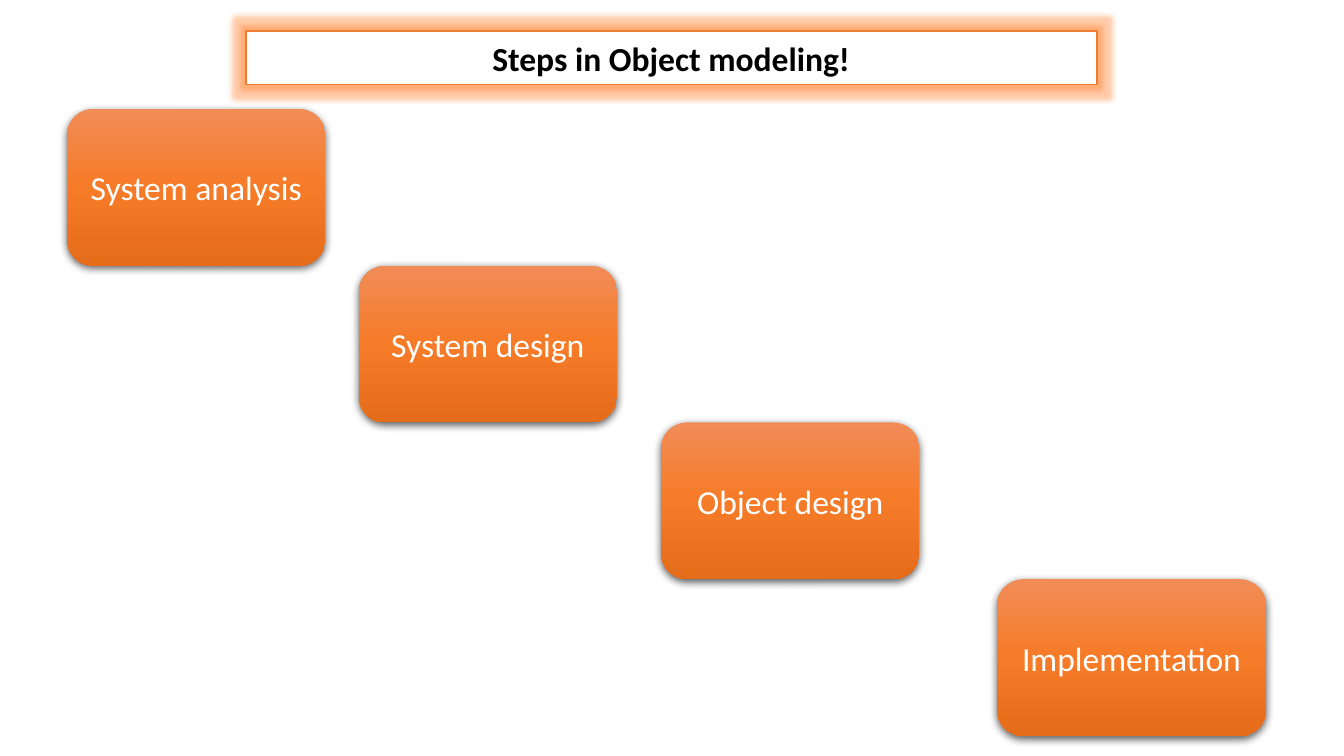
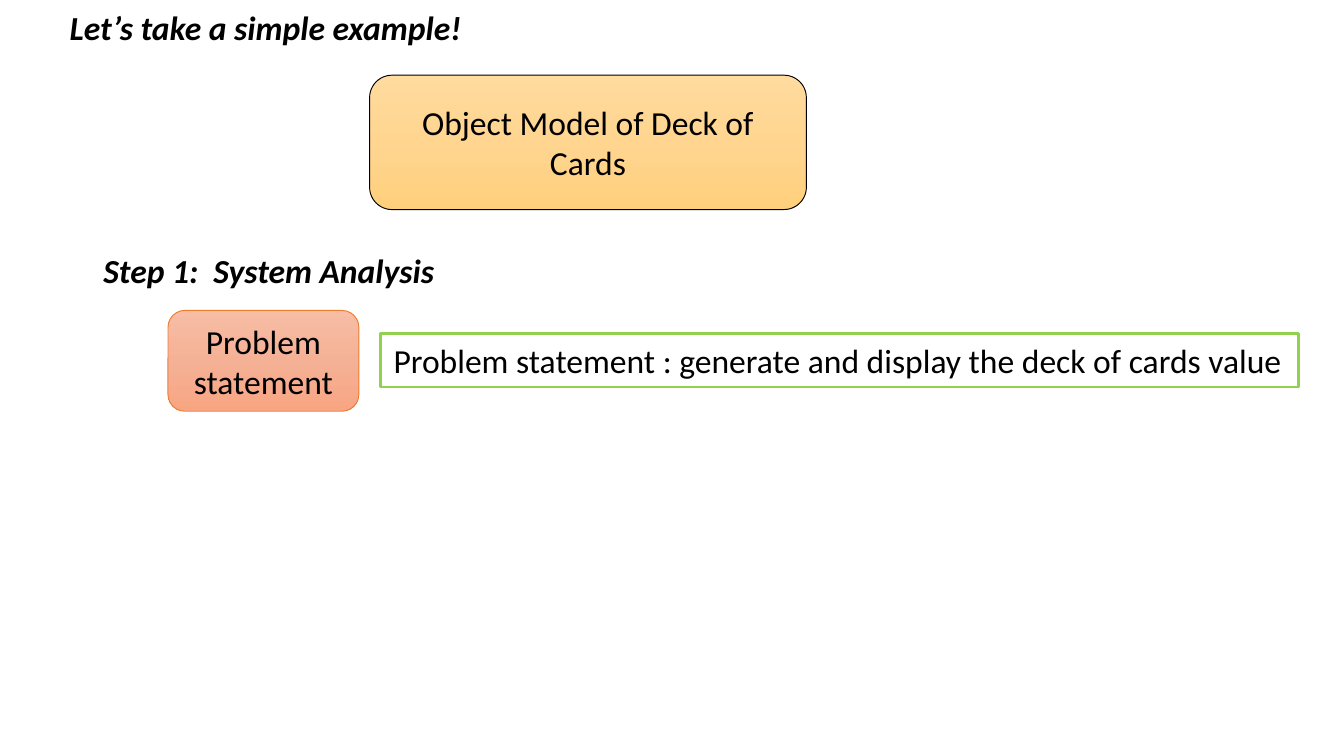
from dataclasses import dataclass
from typing import Optional

from lxml import etree
from pptx import Presentation
from pptx.dml.color import RGBColor
from pptx.enum.shapes import MSO_SHAPE
from pptx.enum.text import MSO_ANCHOR, MSO_AUTO_SIZE, PP_ALIGN
from pptx.oxml.ns import qn
from pptx.util import Inches, Pt

RECT = MSO_SHAPE.RECTANGLE
ROUNDED = MSO_SHAPE.ROUNDED_RECTANGLE
LEFT, CENTER = PP_ALIGN.LEFT, PP_ALIGN.CENTER
TOP, MIDDLE = MSO_ANCHOR.TOP, MSO_ANCHOR.MIDDLE
GROW = MSO_AUTO_SIZE.SHAPE_TO_FIT_TEXT
FIXED = MSO_AUTO_SIZE.NONE

PAGE_WIDTH = 10
PAGE_HEIGHT = PAGE_WIDTH * 9 / 16
FONT = "Calibri"
TEXT_SIZE = 18
COLORS = {
    "white": "FFFFFF",
    "black": "000000",
    "orange": "ED7D31",
    "glow": "FF7D2A",
    "green": "92D050",
}
GRADIENTS = {
    "step": ("F18C57", "F67B28", "E56C19"),
    "example": ("FFDB9E", "FFD590", "FFD07C"),
    "problem": ("F7BDA5", "F5B196", "F8A582"),
}
LINE_HEIGHT = 0.4
STEP_TOP = 0.81
STEP_HEIGHT = 3.5 / 3


@dataclass(frozen=True)
class Area:
    left: float
    top: float
    width: float
    height: float

    def lengths(self) -> tuple:
        return tuple(Inches(v) for v in (self.left, self.top, self.width, self.height))


@dataclass(frozen=True)
class Outline:
    color: str
    points: float


@dataclass(frozen=True)
class Step:
    text: str
    left: float
    width: float = 1.92


STEPS = (
    Step("System analysis", 0.5),
    Step("System design", 2.67),
    Step("Object design", 4.92),
    Step("Implementation", 7.42, 2),
)


def rgb(name: str) -> RGBColor:
    return RGBColor.from_string(COLORS[name])


def write(shape, text: str, *, color: str = "black", bold: bool = False,
          italic: bool = False, align=LEFT, anchor=TOP, fit=FIXED) -> None:
    frame = shape.text_frame
    frame.word_wrap = True
    frame.auto_size = fit
    frame.vertical_anchor = anchor
    para = frame.paragraphs[0]
    para.alignment = align
    span = para.add_run()
    span.text = text
    span.font.name = FONT
    span.font.size = Pt(TEXT_SIZE)
    span.font.bold = bold
    span.font.italic = italic
    span.font.color.rgb = rgb(color)


def fill_gradient(shape, stops: tuple) -> None:
    """Fill from top to bottom with evenly spaced colour stops."""
    shape.fill.gradient()
    shape.fill.gradient_angle = 270
    stop_list = next(shape.element.iter(qn("a:gsLst")))
    for old in list(stop_list):
        stop_list.remove(old)
    for index, color in enumerate(stops):
        position = index * 100000 // (len(stops) - 1)
        stop = etree.SubElement(stop_list, qn("a:gs"), pos=str(position))
        etree.SubElement(stop, qn("a:srgbClr"), val=color)


def add_effect(shape, tag: str, color: str, opacity: int, **settings: str) -> None:
    effects = next(shape.element.iter(qn("a:effectLst")))
    effect = etree.SubElement(effects, qn(tag), **settings)
    tint = etree.SubElement(effect, qn("a:srgbClr"), val=COLORS[color])
    etree.SubElement(tint, qn("a:alpha"), val=str(opacity * 1000))


def add_box(page, kind, area: Area, outline: Optional[Outline] = None,
            gradient: Optional[str] = None):
    """Add a shape with a gradient fill, or white when none is named."""
    box = page.shapes.add_shape(kind, *area.lengths())
    box.shadow.inherit = False
    if gradient:
        fill_gradient(box, GRADIENTS[gradient])
    else:
        box.fill.solid()
        box.fill.fore_color.rgb = rgb("white")
    if outline:
        box.line.color.rgb = rgb(outline.color)
        box.line.width = Pt(outline.points)
    else:
        box.line.fill.background()
    return box


def add_heading(page, text: str, area: Area) -> None:
    box = page.shapes.add_textbox(*area.lengths())
    write(box, text, bold=True, italic=True, fit=GROW)


def add_page(deck):
    return deck.slides.add_slide(deck.slide_layouts[6])


def build_steps(deck) -> None:
    page = add_page(deck)
    title = add_box(page, RECT, Area(1.83, 0.23, 6.33, LINE_HEIGHT), Outline("orange", 1))
    add_effect(title, "a:glow", "glow", 40, rad=str(Pt(5)))
    write(title, "Steps in Object modeling!", bold=True, align=CENTER, fit=GROW)
    for index, step in enumerate(STEPS):
        area = Area(step.left, STEP_TOP + index * STEP_HEIGHT, step.width, STEP_HEIGHT)
        box = add_box(page, ROUNDED, area, gradient="step")
        add_effect(box, "a:outerShdw", "black", 63, blurRad=str(Pt(4.5)),
                   dist=str(Pt(1.5)), dir="5400000", algn="ctr", rotWithShape="0")
        write(box, step.text, color="white", align=CENTER, anchor=MIDDLE)


def build_example(deck) -> None:
    page = add_page(deck)
    add_heading(page, "Let’s take a simple example!", Area(0.42, 0, 4.08, LINE_HEIGHT))
    example = add_box(page, ROUNDED, Area(2.75, 0.56, 3.25, 1),
                      Outline("black", 0.5), "example")
    write(example, "Object Model of Deck of Cards", align=CENTER, anchor=MIDDLE)
    add_heading(page, "Step 1:  System Analysis", Area(0.67, 1.81, 2.92, LINE_HEIGHT))
    statement = add_box(page, RECT, Area(2.83, 2.48, 6.83, LINE_HEIGHT),
                        Outline("green", 1.5))
    write(statement, "Problem statement : generate and display the deck of cards value",
          fit=GROW)
    problem = add_box(page, ROUNDED, Area(1.25, 2.31, 1.42, 0.75),
                      Outline("orange", 0.5), "problem")
    write(problem, "Problem statement", align=CENTER, anchor=MIDDLE)


def main() -> None:
    deck = Presentation()
    deck.slide_width, deck.slide_height = Inches(PAGE_WIDTH), Inches(PAGE_HEIGHT)
    build_steps(deck)
    build_example(deck)
    deck.save("out.pptx")


if __name__ == "__main__":
    main()
